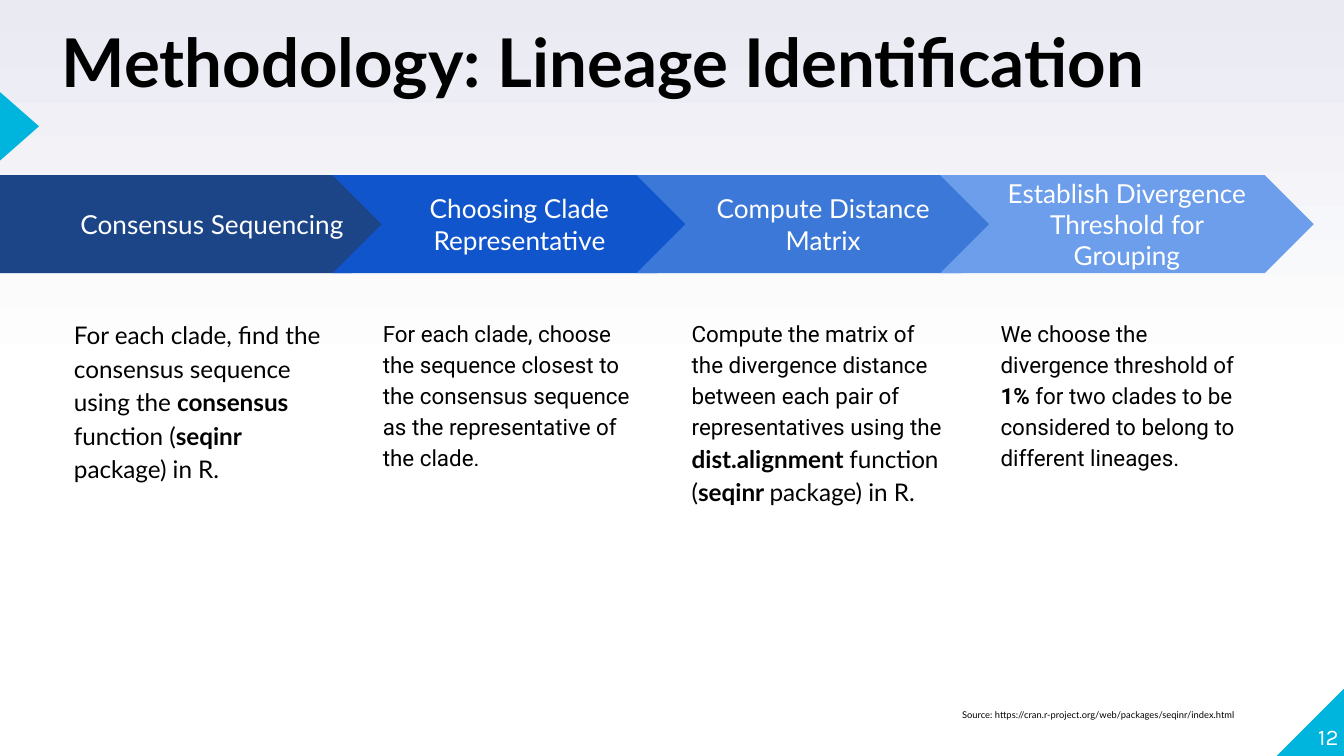
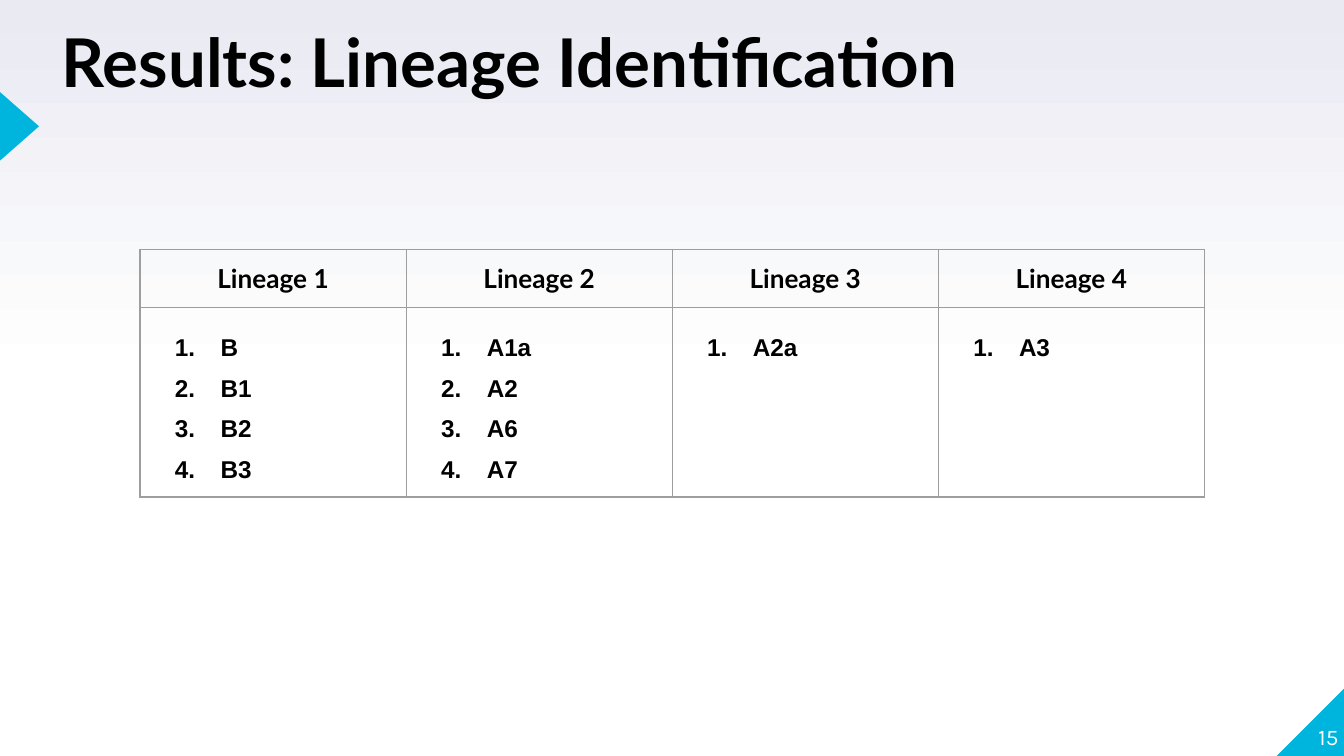
from copy import deepcopy
from lxml import etree
from pptx import Presentation
from pptx.dml.color import RGBColor
from pptx.enum.shapes import MSO_SHAPE
from pptx.enum.text import MSO_ANCHOR, MSO_AUTO_SIZE, PP_ALIGN
from pptx.oxml.ns import qn
from pptx.util import Inches, Pt

LEFT, MID, RIGHT = PP_ALIGN.LEFT, PP_ALIGN.CENTER, PP_ALIGN.RIGHT
TOP, CORE, BASE = MSO_ANCHOR.TOP, MSO_ANCHOR.MIDDLE, MSO_ANCHOR.BOTTOM
PLATE, ARROW = MSO_SHAPE.PENTAGON, MSO_SHAPE.CHEVRON
WEDGE, CORNER = MSO_SHAPE.ISOSCELES_TRIANGLE, MSO_SHAPE.RIGHT_TRIANGLE
FIXED = MSO_AUTO_SIZE.NONE

CELL = Inches(0.1)
COLS, ROWS = 100, 56.25
WHITE, BLACK, CYAN, GREY, MIST = "FFFFFF", "000000", "00B5DD", "9E9E9E", "E9EAF2"


def hue(code):
    return RGBColor.from_string(code)


def grid(*cells):
    return [round(n * CELL) for n in cells]


def ink(font, face="Lato", size=14, color=BLACK, bold=False):
    font.name, font.size, font.bold = face, Pt(size), bold
    font.color.rgb = hue(color)


def node(parent, tag, **attrs):
    return etree.SubElement(parent, qn(tag), attrs)


class Deck:
    def __init__(self):
        self.prs = Presentation()
        self.prs.slide_width, self.prs.slide_height = grid(COLS, ROWS)
        self.slide = None
        self.paint()

    def paint(self):
        master = self.prs.slide_master
        fill = master.background.fill
        fill.gradient()
        fill.gradient_angle = 90
        stops = master.background._cSld.xpath("./p:bg//a:gsLst")[0]
        stops.insert(1, deepcopy(stops[0]))
        for stop, place, code in zip(fill.gradient_stops, (0, 0.5, 1), (WHITE, WHITE, MIST)):
            stop.position = place
            stop.color.rgb = hue(code)

    def page(self, title, number):
        self.slide = self.prs.slides.add_slide(self.prs.slide_layouts[5])
        corner = self.shape(CORNER, (95, 51.15, 5.1, 5.1), CYAN)
        corner._element.spPr.xfrm.set("flipH", "1")
        self.shape(WEDGE, (-1.1, 7.95, 5.1, 2.9), CYAN).rotation = 90
        head = self.slide.shapes.title
        head.left, head.top, head.width, head.height = grid(4.6, 2.7, 89.3, 4.9)
        self.frame(head.text_frame, title, pad=0, space=0.8, size=36, bold=True)
        self.text((94.6, 50.7, 5, 5.1), number, anchor=BASE, pad=0, align=RIGHT,
                  face="Karla", size=12, color=WHITE)

    def frame(self, frame, words, anchor=TOP, pad=1, **style):
        frame.word_wrap = True
        frame.auto_size = FIXED
        frame.vertical_anchor = anchor
        (frame.margin_left, frame.margin_top,
         frame.margin_right, frame.margin_bottom) = grid(*[pad] * 4)
        self.para(frame.paragraphs[0], words, **style)

    def para(self, para, words, align=LEFT, space=1.0, indent=0, hang=0, **font):
        para.alignment = align
        para.line_spacing = space
        props = para._p.get_or_add_pPr()
        if indent:
            left, first = grid(indent, hang)
            props.set("marL", str(left))
            props.set("indent", str(first))
        if hang:
            node(node(props, "a:buClr"), "a:srgbClr", val=BLACK)
            node(props, "a:buFont", typeface=font["face"])
            node(props, "a:buAutoNum", type="arabicPeriod")
        if isinstance(words, str):
            para.add_run().text = words
            ink(para.font, **font)
            return
        for part, extra in words:
            run = para.add_run()
            run.text = part
            ink(run.font, **{**font, **extra})

    def text(self, box, words, **style):
        shape = self.slide.shapes.add_textbox(*grid(*box))
        self.frame(shape.text_frame, words, **style)

    def shape(self, kind, box, color, words=None, **style):
        shape = self.slide.shapes.add_shape(kind, *grid(*box))
        shape.shadow.inherit = False
        shape.fill.solid()
        shape.fill.fore_color.rgb = hue(color)
        shape.line.fill.background()
        if words:
            self.frame(shape.text_frame, words, anchor=CORE, color=WHITE, **style)
        return shape

    def cell(self, cell):
        cell.fill.background()
        (cell.margin_left, cell.margin_top,
         cell.margin_right, cell.margin_bottom) = grid(1, 1, 1, 1)
        props = cell._tc.get_or_add_tcPr()
        for place, side in enumerate("LRTB"):
            line = node(props, f"a:ln{side}", w=str(Pt(0.75)))
            node(node(line, "a:solidFill"), "a:srgbClr", val=GREY)
            props.insert(place, line)

    def table(self, box, rows, groups):
        shape = self.slide.shapes.add_table(2, len(groups), *grid(*box))
        table = shape.table
        table.first_row = table.horz_banding = False
        for row, high in zip(table.rows, grid(*rows)):
            row.height = high
        for col, (head, items) in enumerate(groups):
            top, body = table.cell(0, col), table.cell(1, col)
            self.cell(top)
            self.cell(body)
            self.para(top.text_frame.paragraphs[0], head, align=MID, bold=True)
            frame = body.text_frame
            for count, item in enumerate(items):
                para = frame.add_paragraph() if count else frame.paragraphs[0]
                self.para(para, item, space=1.5, indent=5, hang=-3.4,
                          face="Arial", size=13, bold=True)


LATO = {"face": "Lato", "size": 13}
BOLD = {**LATO, "bold": True}
TAIL = [("function (", LATO), ("seqinr ", BOLD), ("package) in R.", LATO)]

STEPS = [
    ("Consensus Sequencing", "1C4587",
     [("For each clade, find the consensus sequence using the ", LATO),
      ("consensus ", BOLD), *TAIL]),
    ("Choosing Clade Representative", "1155CC",
     "For each clade, choose the sequence closest to the consensus sequence "
     "as the representative of the clade."),
    ("Compute Distance Matrix", "3C78D8",
     [("Compute the matrix of the divergence distance between each pair of "
       "representatives using the ", {}), ("dist.alignment ", BOLD), *TAIL]),
    ("Establish Divergence Threshold for Grouping", "6D9EEB",
     [("We choose the divergence threshold of ", {}), ("1%", {"bold": True}),
      (" for two clades to be considered to belong to different lineages.", {})]),
]

GROUPS = [
    ("Lineage 1", ["B", "B1", "B2", "B3"]),
    ("Lineage 2", ["A1a", "A2", "A6", "A7"]),
    ("Lineage 3", ["A2a"]),
    ("Lineage 4", ["A3"]),
]


def main():
    deck = Deck()

    deck.page("Methodology: Lineage Identification", "12")
    for i, (name, color, note) in enumerate(STEPS):
        if i:
            deck.shape(ARROW, (2.15 + 22.6 * i, 13.03, 27.8, 7.3), color, name, align=MID)
        else:
            deck.shape(PLATE, (0, 13.03, 29.8, 7.3), color, name, indent=5)
        deck.text((4.52 + 22.98 * i, 22.52, 20.8, 28.6), note,
                  space=1.15, face="Roboto", size=12)
    deck.text((70.6, 51.75, 24, 2.6),
              "Source: https://cran.r-project.org/web/packages/seqinr/index.html", size=5)

    deck.page("Results: Lineage Identification", "15")
    deck.table((10.42, 18.55, 79.2, 18.4), (4.2, 4.2), GROUPS)

    deck.prs.save("out.pptx")


if __name__ == "__main__":
    main()
